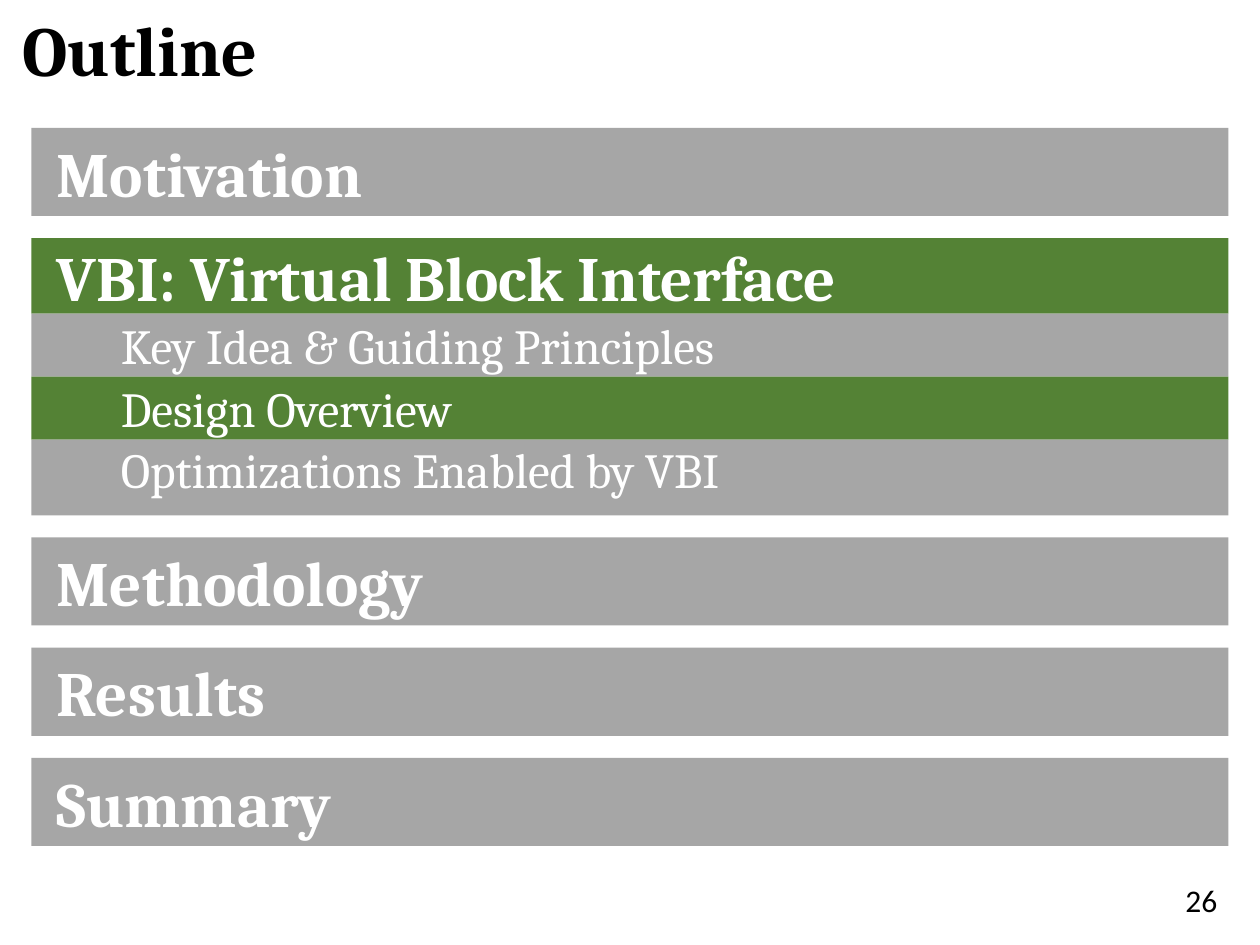
import pptx
import pptx.util
import pptx.dml.color
import pptx.enum.shapes
import pptx.enum.text
import pptx.oxml.ns
from lxml import etree

PX = 4572  # EMU per px, 200 px to the inch
COLORS = {"gray": "A6A6A6", "green": "548235", "white": "FFFFFF", "black": "000000"}
ANCHOR = pptx.enum.text.MSO_ANCHOR
ALIGN = pptx.enum.text.PP_ALIGN


def px(n):
    return pptx.util.Emu(n * PX)


def rgb(name):
    return pptx.dml.color.RGBColor.from_string(COLORS[name])


class Deck:
    def __init__(self, width, height):
        self.prs = pptx.Presentation()
        self.prs.slide_width, self.prs.slide_height = px(width), px(height)
        self.s = self.prs.slides.add_slide(self.prs.slide_layouts[6])

    def add_text(self, sp, text, size, color, bold=False, font="Cambria",
                 align=ALIGN.LEFT, anchor=ANCHOR.TOP, inset=(20, 10), tab=None):
        tf = sp.text_frame
        tf.word_wrap = True
        tf.vertical_anchor = anchor
        tf.margin_left = tf.margin_right = px(inset[0])
        tf.margin_top = tf.margin_bottom = px(inset[1])
        p = tf.paragraphs[0]
        p.alignment = align
        if tab:
            tabs = etree.SubElement(p._p.get_or_add_pPr(), pptx.oxml.ns.qn("a:tabLst"))
            etree.SubElement(tabs, pptx.oxml.ns.qn("a:tab"), pos=str(px(tab)), algn="l")
        r = p.add_run()
        r.text = text
        r.font.name, r.font.size, r.font.bold = font, pptx.util.Pt(size), bold
        r.font.color.rgb = rgb(color)
        return p

    def label(self, x, y, w, h, text, size, **style):
        sp = self.s.shapes.add_textbox(px(x), px(y), px(w), px(h))
        return self.add_text(sp, text, size, "black", **style)

    def bar(self, x, y, w, h, fill, text, size, **style):
        sp = self.s.shapes.add_shape(
            pptx.enum.shapes.MSO_SHAPE.RECTANGLE, px(x), px(y), px(w), px(h))
        sp.shadow.inherit = False
        sp.fill.solid()
        sp.fill.fore_color.rgb = rgb(fill)
        sp.line.fill.background()
        return self.add_text(sp, text, size, "white", **style)


def main():
    deck = Deck(2000, 1500)

    # Title
    deck.label(16, 16, 1966, 162, "Outline", 40, bold=True).line_spacing = 0.9

    # Sections: heading, height, fill, topics (text, height, fill, anchor)
    topics = [
        ("Key Idea & Guiding Principles", 100, "gray", ANCHOR.MIDDLE),
        ("Design Overview", 100, "green", ANCHOR.MIDDLE),
        ("Optimizations Enabled by VBI", 120, "gray", ANCHOR.TOP),
    ]
    sections = [
        ("Motivation", 140, "gray", []),
        ("VBI: Virtual Block Interface", 120, "green", topics),
        ("Methodology", 140, "gray", []),
        ("Results", 140, "gray", []),
        ("Summary", 140, "gray", []),
    ]
    left, width, gap, y = 50, 1900, 35, 203
    for heading, height, fill, items in sections:
        deck.bar(left, y, width, height, fill, heading, 36, bold=True,
                 anchor=ANCHOR.MIDDLE, inset=(40, 10))
        y += height
        for topic, height, fill, anchor in items:
            deck.bar(left, y, width, height, fill, "\t" + topic, 28,
                     anchor=anchor, inset=(40, 0), tab=102)
            y += height
        y += gap

    # Slide number
    deck.label(1202, 1388, 750, 80, "26", 18, font="Calibri", align=ALIGN.RIGHT)

    deck.prs.save("out.pptx")


if __name__ == "__main__":
    main()
